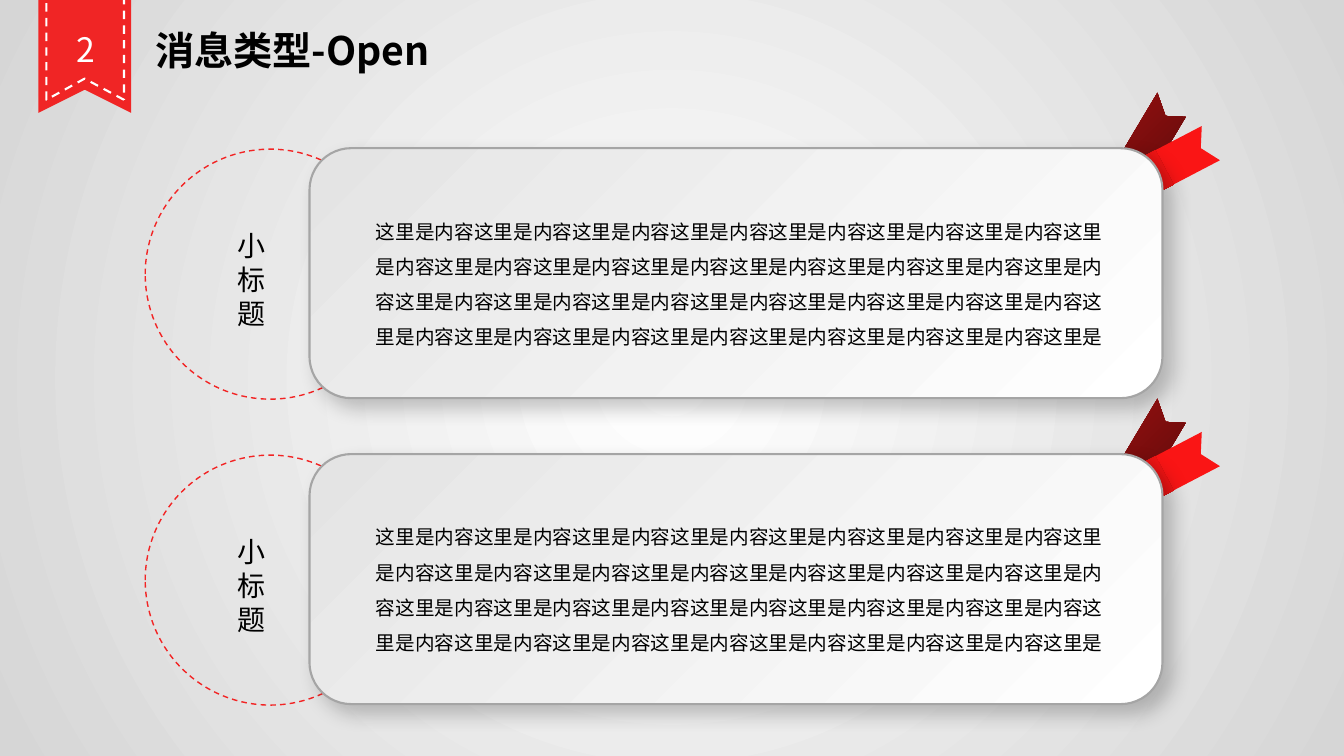
from lxml import etree
from pptx import Presentation
from pptx import util as u
from pptx.dml.color import RGBColor
from pptx.enum import dml, shapes, text
from pptx.oxml import ns, parse_xml

THEME = {
    "white": "FFFFFF", "ink": "000000", "mist": "D6D6D6", "pale": "E4E4E4",
    "edge": "A5A5A5", "flag": "F02525", "ring": "F22424", "tail": "FA1515",
    "fold": "C41111", "dark": "590A0A", "wine": "961010",
    "head": 28, "num": 24, "label": 20, "body": 14,
    "sans": "Noto Sans CJK SC", "bold": "Noto Sans CJK JP",
}

# Grid: ten columns and ten rows to the inch
CELL = u.Inches(0.1)
STEP = 30.35
CARD = (30.7, 14.7, 84.6, 24.8)
RING = (14.4, 14.8, 24.8, 24.8)

prs = Presentation()
prs.slide_width, prs.slide_height = u.Inches(13.33), u.Inches(7.5)
slide = prs.slides.add_slide(prs.slide_layouts[6])


def style(shape, fill=None, line=None, width=1, dash=False, angle=0):
    """Fill with one colour, or with a pair as a gradient, and set the outline."""
    shape.shadow.inherit = False
    if fill is None:
        shape.fill.background()
    elif isinstance(fill, tuple):
        shape.fill.gradient()
        shape.fill.gradient_angle = angle
        for stop, name in zip(shape.fill.gradient_stops, fill):
            stop.color.rgb = RGBColor.from_string(THEME[name])
    else:
        shape.fill.solid()
        shape.fill.fore_color.rgb = RGBColor.from_string(THEME[fill])
    if line is None:
        shape.line.fill.background()
    else:
        shape.line.color.rgb = RGBColor.from_string(THEME[line])
        shape.line.width = u.Pt(width)
        if dash:
            shape.line.dash_style = dml.MSO_LINE.DASH


def write(box, words, size, face="sans", color="ink", lead=1.2, bold=False, center=False):
    """Add a text box with a single run."""
    frame = slide.shapes.add_textbox(*[round(n * CELL) for n in box]).text_frame
    frame.word_wrap = True
    frame.margin_top = u.Inches(0.07)
    para = frame.paragraphs[0]
    para.line_spacing = u.Pt(THEME[size] * lead)
    if center:
        para.alignment = text.PP_ALIGN.CENTER
    run = para.add_run()
    run.text = words
    run.font.size = u.Pt(THEME[size])
    run.font.bold = bold
    run.font.name = THEME[face]
    run.font.color.rgb = RGBColor.from_string(THEME[color])
    east = etree.SubElement(run.font._element, ns.qn("a:ea"))
    east.set("typeface", THEME[face])


# Background: white centre fading to grey corners
back = slide.background.fill
back.gradient()
for stop, name in zip(back.gradient_stops, ("white", "mist")):
    stop.color.rgb = RGBColor.from_string(THEME[name])
lin = next(slide.element.iter(ns.qn("a:lin")))
lin.getparent().replace(lin, parse_xml(
    f'<a:path {ns.nsdecls("a")} path="circle">'
    '<a:fillToRect l="50000" t="50000" r="50000" b="50000"/></a:path>'))

# Number flag
flag = slide.shapes.add_group_shape()
for left, right, top, notch, foot, look in (
    (3.8, 13, -23.8, 8.9, 11.2, {"fill": "flag"}),
    (4.6, 12.3, -22.8, 7.8, 9.9, {"line": "white", "width": 1.5, "dash": True}),
):
    pts = [(right, foot), (8.4, notch), (left, foot), (left, top), (right, top)]
    pts = [(x * CELL, y * CELL) for x, y in pts]
    path = flag.shapes.build_freeform(*pts[0])
    path.add_line_segments(pts[1:], close=True)
    style(path.convert_to_shape(), **look)
write((5.3, 2.2, 6.5, 5), "2", "num", color="white", center=True)

# Title
write((14.4, 1.9, 36.6, 5.7), "消息类型-Open", "head", face="bold", bold=True)

# Ribbon pieces: outline, fill, gradient angle
PARTS = (
    ([(114.8, 9.2), (112, 13.9), (110, 17.3), (111.8, 20.7), (114.8, 16.3),
      (117.6, 11.6), (115.6, 11.5)], ("wine", "dark"), 315),
    ([(121, 15.9), (111.8, 20.7), (110, 17.3), (119.2, 12.5), (119.1, 14.7)], "tail", 0),
    ([(116.4, 18.3), (111.8, 20.7), (110, 17.3), (114.6, 14.9)], ("fold", "tail"), 27),
)

# Two rows: ribbon, ring, card, label and body
for row in range(2):
    drop = row * STEP

    knot = slide.shapes.add_group_shape()
    for pts, fill, angle in PARTS:
        pts = [(x * CELL, (y + drop) * CELL) for x, y in pts]
        path = knot.shapes.build_freeform(*pts[0])
        path.add_line_segments(pts[1:], close=True)
        style(path.convert_to_shape(), fill, angle=angle)

    for kind, (x, y, w, h), look in (
        (shapes.MSO_SHAPE.OVAL, RING, {"line": "ring", "dash": True}),
        (shapes.MSO_SHAPE.ROUNDED_RECTANGLE, CARD,
         {"fill": ("pale", "white"), "line": "edge", "width": 1.5, "angle": 315}),
    ):
        item = slide.shapes.add_shape(kind, *[round(n * CELL) for n in (x, y + drop, w, h)])
        style(item, **look)

    # Soft shadow under the card
    glow = item._element.spPr.find(ns.qn("a:effectLst"))
    glow.append(parse_xml(
        f'<a:outerShdw {ns.nsdecls("a")} blurRad="{u.Pt(14)}" dist="{u.Pt(9)}" dir="2700000" '
        'algn="tl" rotWithShape="0"><a:srgbClr val="000000"><a:alpha val="22000"/>'
        '</a:srgbClr></a:outerShdw>'))

    write((22.6, 22 + drop, 6.6, 11.1), "小标题", "label", face="bold")
    write((36.3, 19.9 + drop, 75.1, 15.1), "这里是内容" * 29 + "这里是", "body", lead=1.8)

prs.save("out.pptx")
